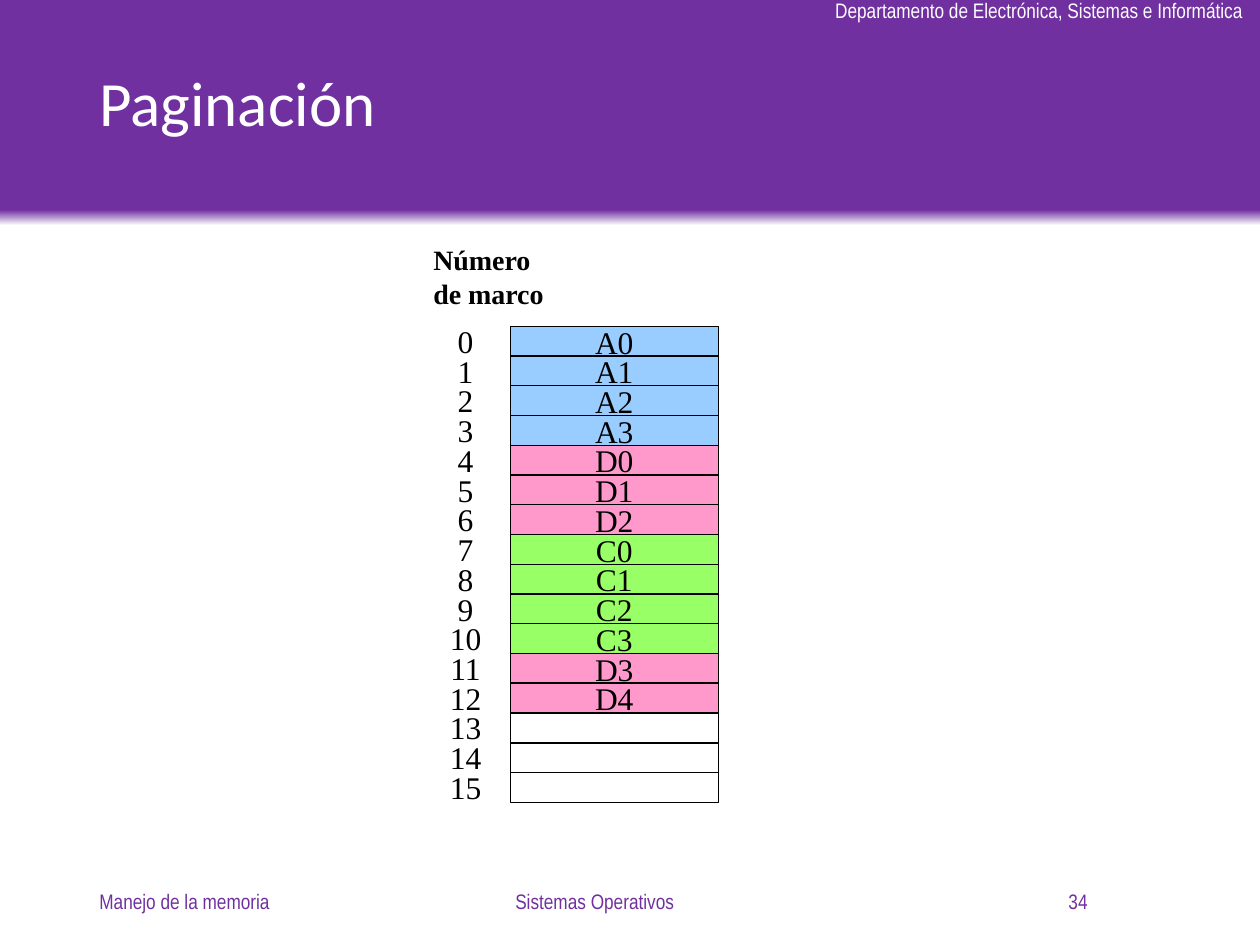
import copy

import pptx
import pptx.dml.color
import pptx.enum.shapes
import pptx.enum.text
import pptx.oxml.ns
import pptx.util

Inches = pptx.util.Inches
RGBColor = pptx.dml.color.RGBColor
ALIGN = pptx.enum.text.PP_ALIGN
ANCHOR = pptx.enum.text.MSO_ANCHOR

PURPLE = RGBColor(0x70, 0x30, 0xA0)
WHITE = RGBColor(0xFF, 0xFF, 0xFF)
BLACK = RGBColor(0, 0, 0)
BLUE = RGBColor(0x99, 0xCC, 0xFF)
PINK = RGBColor(0xFF, 0x99, 0xCC)
GREEN = RGBColor(0x99, 0xFF, 0x66)

PROCESS_COLORS = {"A": BLUE, "C": GREEN, "D": PINK}
FRAMES = ["A0", "A1", "A2", "A3", "D0", "D1", "D2", "C0",
          "C1", "C2", "C3", "D3", "D4", "", "", ""]
FRAMES_TOP = 2.59
FRAME_PITCH = 0.236


def write(tf, text, font="Times New Roman", size=18, color=BLACK, bold=False,
          align=ALIGN.LEFT, anchor=ANCHOR.MIDDLE, wrap=False, spacing=None):
    tf.word_wrap = wrap
    tf.vertical_anchor = anchor
    for i, line in enumerate(text.split("\n")):
        p = tf.add_paragraph() if i else tf.paragraphs[0]
        p.alignment = align
        if spacing:
            p.line_spacing = spacing
        r = p.add_run()
        r.text = line
        r.font.name = font
        r.font.size = pptx.util.Pt(size)
        r.font.bold = bold
        r.font.color.rgb = color


class Deck:
    small = {"font": "Arial Narrow", "size": 12}

    def __init__(self):
        self.prs = pptx.Presentation()
        self.prs.slide_width = Inches(10)
        self.prs.slide_height = Inches(7.5)
        self.s = self.prs.slides.add_slide(self.prs.slide_layouts[5])

    def rect(self, x, y, w, h):
        sp = self.s.shapes.add_shape(
            pptx.enum.shapes.MSO_SHAPE.RECTANGLE,
            Inches(x), Inches(y), Inches(w), Inches(h))
        sp.shadow.inherit = False
        return sp

    def band(self, x, y, w, h):
        sp = self.rect(x, y, w, h)
        sp.line.fill.background()
        sp.fill.gradient()
        sp.fill.gradient_angle = 90
        for stop, color, position in zip(sp.fill.gradient_stops, (WHITE, PURPLE), (0, 0.07)):
            stop.color.rgb = color
            stop.position = position
        gs_list = sp._element.find(".//" + pptx.oxml.ns.qn("a:gsLst"))
        end = copy.deepcopy(gs_list[-1])
        end.set("pos", "100000")
        gs_list.append(end)
        self.s.shapes._spTree.insert(2, sp._element)

    def title(self, text, x, y, w, h):
        sp = self.s.shapes.title
        sp.left, sp.top, sp.width, sp.height = map(Inches, (x, y, w, h))
        write(sp.text_frame, text, font="Calibri", size=36, color=WHITE,
              wrap=True, spacing=0.9)

    def label(self, text, x, y, w, h, **style):
        sp = self.s.shapes.add_textbox(Inches(x), Inches(y), Inches(w), Inches(h))
        write(sp.text_frame, text, **style)

    def frame(self, text, x, y, w, h):
        sp = self.rect(x, y, w, h)
        sp.line.color.rgb = BLACK
        sp.line.width = pptx.util.Pt(0.75)
        if text:
            sp.fill.solid()
            sp.fill.fore_color.rgb = PROCESS_COLORS[text[0]]
            write(sp.text_frame, text, align=ALIGN.CENTER)
        else:
            sp.fill.background()


def main():
    deck = Deck()
    deck.band(0, 0, 10, 1.79)
    deck.label("Departamento de Electrónica, Sistemas e Informática",
               6.53, -0.07, 3.48, 0.3, color=WHITE, anchor=ANCHOR.TOP, **deck.small)
    deck.title("Paginación", 0.69, 0.15, 8.62, 1.39)

    for text, x, w, align in (
            ("Manejo de la memoria", 0.69, 2.25, ALIGN.LEFT),
            ("Sistemas Operativos", 3.03, 3.38, ALIGN.CENTER),
            ("34", 6.48, 2.25, ALIGN.RIGHT)):
        deck.label(text, x, 6.95, w, 0.4, color=PURPLE, align=align, wrap=True, **deck.small)

    deck.label("Número\nde marco", 3.34, 1.88, 1.08, 0.63,
               size=16, bold=True, anchor=ANCHOR.TOP)
    for number, page in enumerate(FRAMES):
        y = FRAMES_TOP + number * FRAME_PITCH
        deck.label(str(number), 3.34, y, 0.71, 0.23, align=ALIGN.CENTER)
        deck.frame(page, 4.05, y, 1.65, 0.24)

    deck.prs.save("out.pptx")


if __name__ == "__main__":
    main()
